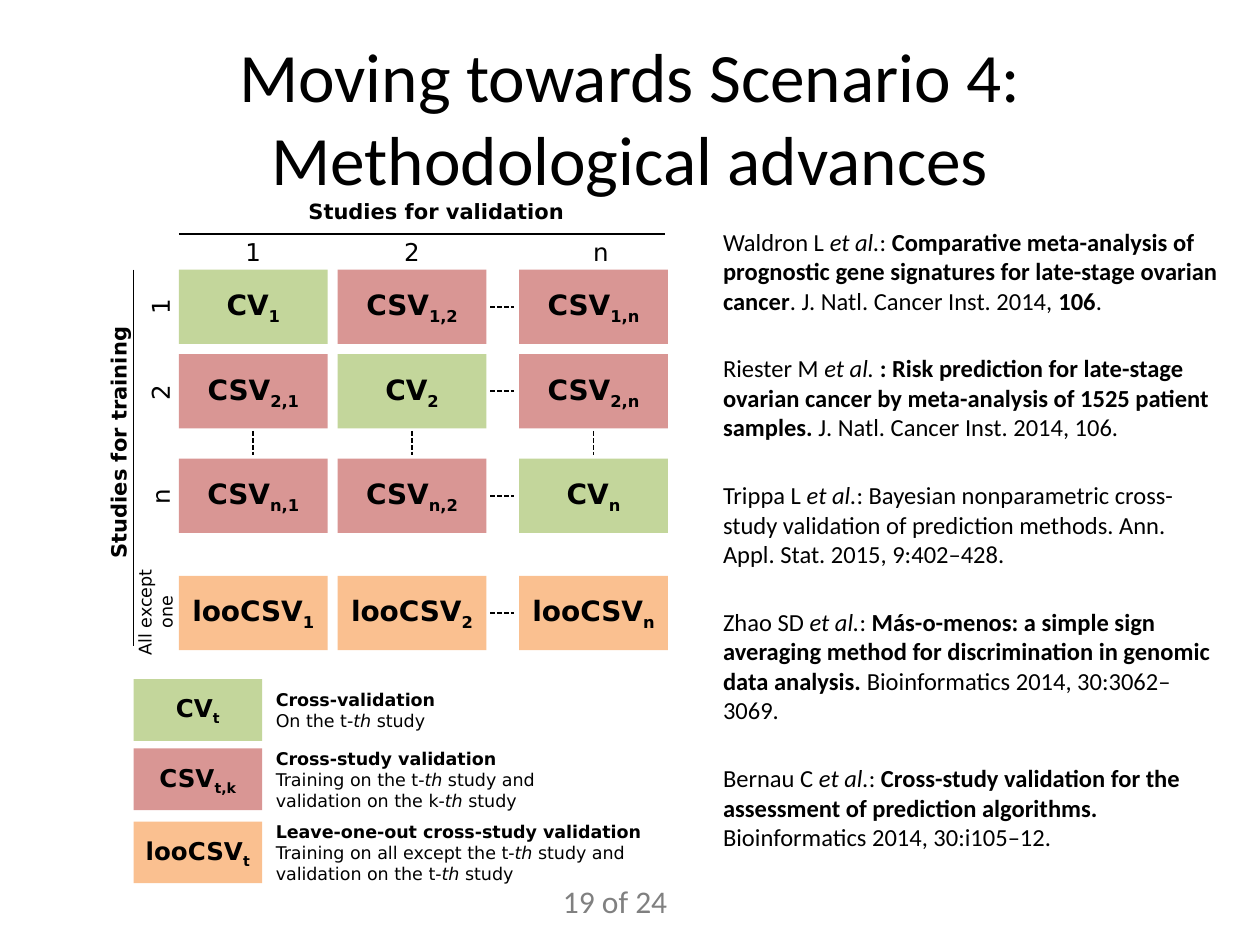
import dataclasses
import typing

import pptx
import pptx.dml.color
import pptx.enum.dml
import pptx.enum.shapes
import pptx.enum.text
import pptx.oxml
import pptx.oxml.ns
import pptx.util

Inches = pptx.util.Inches
Pt = pptx.util.Pt
ALIGN = pptx.enum.text.PP_ALIGN
ANCHOR = pptx.enum.text.MSO_ANCHOR

COLORS = {
    "text": "000000",
    "page": "808080",
    "CV": "C3D69B",
    "CSV": "D99694",
    "looCSV": "FAC090",
}
SANS = "DejaVu Sans"
BODY = "Calibri"


class Run(typing.NamedTuple):
    text: str
    bold: bool = False
    italic: bool = False
    subscript: bool = False


@dataclasses.dataclass
class Label:
    paragraphs: list[list[Run]]
    left: float
    top: float
    width: float
    height: float
    size: float
    font: str = SANS
    color: str = "text"
    rotation: float = 0
    wrap: bool = False
    align: ALIGN = ALIGN.LEFT
    anchor: ANCHOR = ANCHOR.TOP
    space_after: float = 0


@dataclasses.dataclass
class Box:
    method: str
    index: str
    left: float
    top: float
    width: float
    height: float
    size: float


@dataclasses.dataclass
class Line:
    x1: float
    y1: float
    x2: float
    y2: float
    dashed: bool = False


def rgb(name: str) -> pptx.dml.color.RGBColor:
    return pptx.dml.color.RGBColor.from_string(COLORS[name])


def write_paragraph(p, runs: list[Run], size: float, font: str, color: str, align: ALIGN) -> None:
    p.alignment = align
    p.font.size = Pt(size)
    p.font.name = font
    p.font.color.rgb = rgb(color)
    for run in runs:
        r = p.add_run()
        r.text = run.text
        r.font.bold = run.bold
        r.font.italic = run.italic
        if run.subscript:
            r.font._element.set("baseline", "-25000")


def draw_label(s, label: Label) -> None:
    sp = s.shapes.add_textbox(Inches(label.left), Inches(label.top), Inches(label.width), Inches(label.height))
    sp.rotation = label.rotation
    tf = sp.text_frame
    tf.word_wrap = label.wrap
    tf.vertical_anchor = label.anchor
    for i, runs in enumerate(label.paragraphs):
        p = tf.add_paragraph() if i else tf.paragraphs[0]
        write_paragraph(p, runs, label.size, label.font, label.color, label.align)
        p.space_after = Pt(label.space_after)


def draw_box(s, box: Box) -> None:
    sp = s.shapes.add_shape(
        pptx.enum.shapes.MSO_SHAPE.RECTANGLE,
        Inches(box.left), Inches(box.top), Inches(box.width), Inches(box.height),
    )
    sp.shadow.inherit = False
    sp.fill.solid()
    sp.fill.fore_color.rgb = rgb(box.method)
    sp.line.fill.background()
    tf = sp.text_frame
    tf.margin_left = tf.margin_right = 0
    tf.vertical_anchor = ANCHOR.MIDDLE
    runs = [Run(box.method, bold=True), Run(box.index, bold=True, subscript=True)]
    write_paragraph(tf.paragraphs[0], runs, box.size, SANS, "text", ALIGN.CENTER)


def draw_line(s, line: Line) -> None:
    cxn = s.shapes.add_connector(
        pptx.enum.shapes.MSO_CONNECTOR.STRAIGHT,
        Inches(line.x1), Inches(line.y1), Inches(line.x2), Inches(line.y2),
    )
    cxn.line.width = Pt(1)
    cxn.line.color.rgb = rgb("text")
    if line.dashed:
        cxn.line.dash_style = pptx.enum.dml.MSO_LINE.SQUARE_DOT
    pptx.oxml.ns.qn("a:effectLst")
    cxn._element.spPr.append(pptx.oxml.parse_xml(f"<a:effectLst {pptx.oxml.ns.nsdecls('a')}/>"))


def draw_matrix(s) -> None:
    width, height = 1.18, 0.59
    columns = {"1": 1.42, "2": 2.68, "n": 4.12}
    rows = {"1": 2.14, "2": 2.81, "n": 3.64}
    loo_top = 4.57
    for column, left in columns.items():
        for row, top in rows.items():
            same = row == column
            index = row if same else f"{row},{column}"
            draw_box(s, Box("CV" if same else "CSV", index, left, top, width, height, 16))
        draw_box(s, Box("looCSV", column, left, loo_top, width, height, 16))
        center = left + width / 2
        draw_line(s, Line(center, 3.42, center, 3.61, dashed=True))
    for top in [*rows.values(), loo_top]:
        middle = top + height / 2
        draw_line(s, Line(3.89, middle, 4.08, middle, dashed=True))
    for name, left in zip(columns, (1.85, 3.11, 4.61)):
        draw_label(s, Label([[Run(name)]], left, 1.83, 0.33, 0.34, 14))
    for name, top in zip(rows, (2.26, 2.94, 3.77)):
        draw_label(s, Label([[Run(name)]], 1.11, top, 0.33, 0.34, 14, rotation=270))
    draw_line(s, Line(1.06, 2.14, 1.06, 5.13))
    draw_line(s, Line(1.42, 1.86, 5.28, 1.86))
    draw_label(s, Label([[Run("Studies for validation", bold=True)]], 2.35, 1.53, 2.23, 0.3, 12))
    draw_label(s, Label([[Run("Studies for training", bold=True)]], -0.08, 3.36, 2.04, 0.3, 12, rotation=270))
    draw_label(s, Label([[Run("All except")], [Run("one")]], 0.79, 4.64, 0.89, 0.44, 10,
                        rotation=270, align=ALIGN.CENTER))


def draw_legend(s) -> None:
    entries = [
        ("CV", "t", 5.39, "Cross-validation", [("On the t-", "study")]),
        ("CSV", "t,k", 5.94, "Cross-study validation",
         [("Training on the t-", "study and"), ("validation on the k-", "study")]),
        ("looCSV", "t", 6.52, "Leave-one-out cross-study validation",
         [("Training on all except the t-", "study and"), ("validation on the t-", "study")]),
    ]
    for method, index, top, heading, lines in entries:
        draw_box(s, Box(method, index, 1.06, top, 1.02, 0.49, 14))
        paragraphs = [[Run(heading, bold=True)]]
        paragraphs += [[Run(start), Run("th ", italic=True), Run(end)] for start, end in lines]
        draw_label(s, Label(paragraphs, 2.09, top, 3.11, 0.49, 10, wrap=True, anchor=ANCHOR.MIDDLE))


def draw_references(s) -> None:
    et_al = Run("et al.", italic=True)
    references = [
        [Run("Waldron L "), et_al, Run(": "),
         Run("Comparative meta-analysis of prognostic gene signatures for late-stage ovarian cancer", bold=True),
         Run(". J. Natl. Cancer Inst. 2014, "), Run("106", bold=True), Run(".")],
        [Run("Riester M "), Run("et al. ", italic=True),
         Run(": Risk prediction for late-stage ovarian cancer by meta-analysis of 1525 patient samples.", bold=True),
         Run(" J. Natl. Cancer Inst. 2014, 106.")],
        [Run("Trippa L "), et_al,
         Run(": Bayesian nonparametric cross-study validation of prediction methods. "
             "Ann. Appl. Stat. 2015, 9:402–428.")],
        [Run("Zhao SD "), et_al, Run(": "),
         Run("Más-o-menos: a simple sign averaging method for discrimination in genomic data analysis. ", bold=True),
         Run("Bioinformatics 2014, 30:3062–3069.")],
        [Run("Bernau C "), et_al, Run(": "),
         Run("Cross-study validation for the assessment of prediction algorithms.", bold=True),
         Run(" Bioinformatics 2014, 30:i105–12.")],
    ]
    draw_label(s, Label(references, 5.64, 1.75, 4.14, 4.95, 14, BODY, wrap=True, space_after=22))


def main() -> None:
    prs = pptx.Presentation()
    prs.slide_width, prs.slide_height = Inches(10), Inches(7.5)
    s = prs.slides.add_slide(prs.slide_layouts[6])
    draw_label(s, Label([[Run("19 of 24")]], 4.37, 6.95, 1.07, 0.4, 18, BODY, "page"))
    draw_matrix(s)
    draw_legend(s)
    draw_references(s)
    draw_label(s, Label([[Run("Moving towards Scenario 4: Methodological advances")]], 0.5, 0.3, 9, 1.25, 39.6,
                        BODY, wrap=True, align=ALIGN.CENTER, anchor=ANCHOR.MIDDLE))
    prs.save("out.pptx")


if __name__ == "__main__":
    main()
